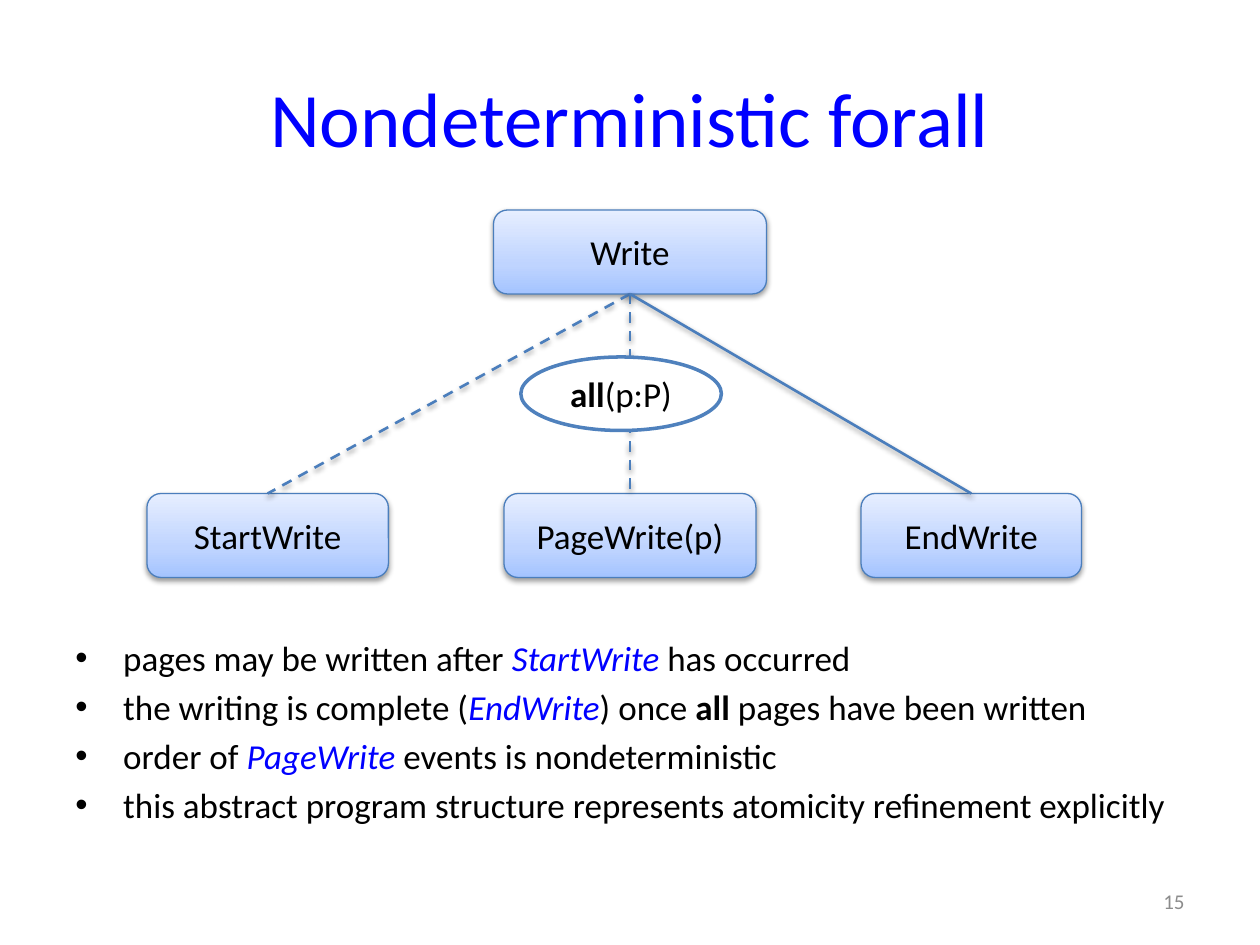
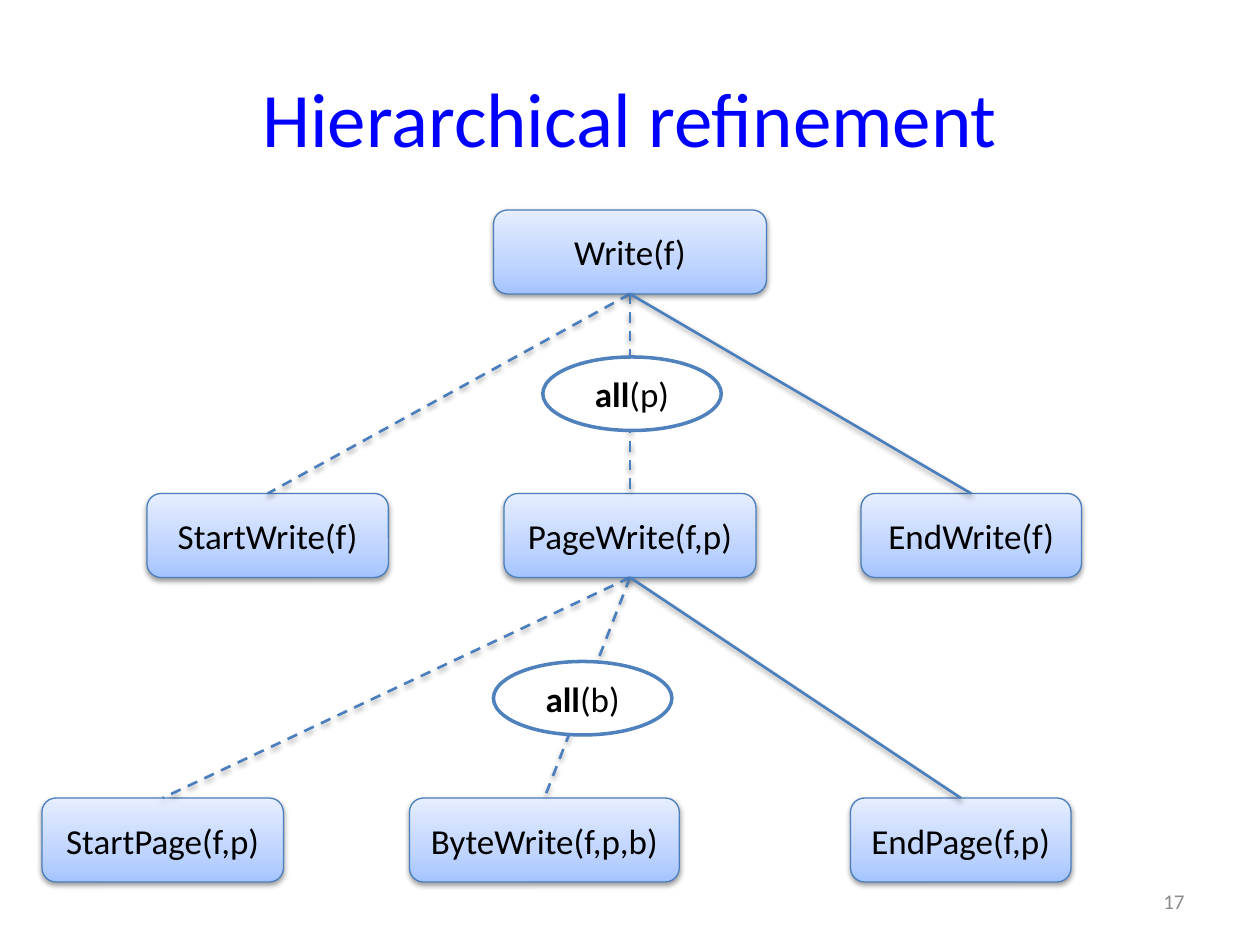
from copy import deepcopy
from dataclasses import dataclass

from lxml import etree
from pptx import Presentation, slide as sl
from pptx import util as u
from pptx.dml.color import RGBColor
from pptx.enum import dml, shapes, text
from pptx.oxml import ns

WIDE, HIGH = u.Inches(10), u.Inches(7.5)
COLS, ROWS = 120, 90  # grid of the slide
FONT = "Calibri"
BLUE = RGBColor(0x00, 0x00, 0xFF)
BLACK = RGBColor(0x00, 0x00, 0x00)
WHITE = RGBColor(0xFF, 0xFF, 0xFF)
GREY = RGBColor(0x8C, 0x8C, 0x8C)
EDGE = RGBColor(0x4B, 0x7E, 0xBC)
RIM = RGBColor(0x4F, 0x81, 0xBD)
SHADES = [
    (0, RGBColor(0xA4, 0xC4, 0xFF)),
    (0.35, RGBColor(0xBF, 0xD4, 0xFF)),
    (1, RGBColor(0xE6, 0xEE, 0xFF)),
]
LEFT, MID, RIGHT = text.PP_ALIGN.LEFT, text.PP_ALIGN.CENTER, text.PP_ALIGN.RIGHT
TOP, BOTTOM = 0, 2  # connection sites
NODE_ROWS, RING_ROWS = 8, 7

Runs = list[tuple[str, str]]  # words and style: "", "b" (bold) or "i" (blue italic)


@dataclass
class Node:
    label: str
    col: float
    row: float
    cols: float


@dataclass
class Ring:
    inner: str
    col: float
    row: float
    cols: float


def place(col: float, row: float, cols: float, rows: float) -> list[int]:
    """Turn grid units into left, top, width and height."""
    return [round(col * WIDE / COLS), round(row * HIGH / ROWS),
            round(cols * WIDE / COLS), round(rows * HIGH / ROWS)]


def write(para, runs: Runs, size: float, color: RGBColor, align=LEFT) -> None:
    para.alignment = align
    for words, style in runs:
        run = para.add_run()
        run.text = words
        font = run.font
        font.name, font.size = FONT, u.Pt(size)
        font.bold, font.italic = style == "b", style == "i"
        font.color.rgb = BLUE if style == "i" else color


def add_text(page: sl.Slide, area: list[int], words: str, size: float,
             color: RGBColor, align) -> None:
    frame = page.shapes.add_textbox(*area).text_frame
    frame.word_wrap = True
    frame.vertical_anchor = text.MSO_ANCHOR.MIDDLE
    write(frame.paragraphs[0], [(words, "")], size, color, align)


def cast(item) -> None:
    """Give a shape or connector a soft shadow; its line must be set before."""
    props = item._element.spPr
    effects = etree.SubElement(props, ns.qn("a:effectLst"))
    outer = etree.SubElement(effects, ns.qn("a:outerShdw"), blurRad="40000",
                             dist="20000", dir="5400000", rotWithShape="0")
    tint = etree.SubElement(outer, ns.qn("a:srgbClr"), val=str(BLACK))
    etree.SubElement(tint, ns.qn("a:alpha"), val="38000")


def add_node(page: sl.Slide, node: Node):
    box = page.shapes.add_shape(shapes.MSO_SHAPE.ROUNDED_RECTANGLE,
                                *place(node.col, node.row, node.cols, NODE_ROWS))
    box.fill.gradient()
    box.fill.gradient_angle = 90
    stops = box._element.spPr.find(".//" + ns.qn("a:gsLst"))
    stops.append(deepcopy(stops[0]))
    for stop, (spot, shade) in zip(box.fill.gradient_stops, SHADES):
        stop.position, stop.color.rgb = spot, shade
    box.line.color.rgb, box.line.width = EDGE, u.Pt(0.75)
    cast(box)
    box.text_frame.vertical_anchor = text.MSO_ANCHOR.MIDDLE
    write(box.text_frame.paragraphs[0], [(node.label, "")], 20, BLACK, MID)
    return box


def add_link(page: sl.Slide, head, child, dashed: bool) -> None:
    link = page.shapes.add_connector(shapes.MSO_CONNECTOR.STRAIGHT, 0, 0, 0, 0)
    link.begin_connect(head, BOTTOM)
    link.end_connect(child, TOP)
    link.line.color.rgb, link.line.width = EDGE, u.Pt(1.5)
    if dashed:
        link.line.dash_style = dml.MSO_LINE.DASH
    cast(link)


def add_ring(page: sl.Slide, ring: Ring) -> None:
    oval = page.shapes.add_shape(shapes.MSO_SHAPE.OVAL,
                                 *place(ring.col, ring.row, ring.cols, RING_ROWS))
    oval.shadow.inherit = False
    oval.fill.solid()
    oval.fill.fore_color.rgb = WHITE
    oval.line.color.rgb, oval.line.width = RIM, u.Pt(2)
    frame = oval.text_frame
    frame.word_wrap = False
    frame.vertical_anchor = text.MSO_ANCHOR.MIDDLE
    runs = [(" ", ""), ("all", "b"), (f"({ring.inner}) ", "")]
    write(frame.paragraphs[0], runs, 20, BLACK, MID)


def add_tree(page: sl.Slide, head, nodes: list[Node], ring: Ring) -> list:
    """Hang nodes below head; only the last link is solid."""
    kids = [add_node(page, node) for node in nodes]
    for kid in kids:
        add_link(page, head, kid, dashed=kid is not kids[-1])
    add_ring(page, ring)
    return kids


def add_points(page: sl.Slide, points: list[Runs]) -> None:
    frame = page.shapes.add_textbox(*place(6, 60, 108, 20.4)).text_frame
    frame.word_wrap = True
    for rank, runs in enumerate(points):
        para = frame.add_paragraph() if rank else frame.paragraphs[0]
        props = para._p.get_or_add_pPr()
        props.set("marL", str(u.Inches(0.38)))
        props.set("indent", str(-u.Inches(0.38)))
        etree.SubElement(props, ns.qn("a:buFont"), typeface="Arial")
        etree.SubElement(props, ns.qn("a:buChar"), char="•")
        if rank:
            para.space_before = u.Pt(4)
        write(para, runs, 20, BLACK)


def add_page(deck, title: str, number: int) -> sl.Slide:
    page = deck.slides.add_slide(deck.slide_layouts[6])
    add_text(page, place(6, 3.6, 108, 15), title, 44, BLUE, MID)
    add_text(page, place(86, 83.4, 28, 4.8), str(number), 12, GREY, RIGHT)
    return page


def add_write(page: sl.Slide, labels: list[str], ring: Ring) -> list:
    """Draw the write tree: the head's label first, then its three parts."""
    head, start, middle, end = labels
    top = add_node(page, Node(head, 47, 20, 26))
    parts = [Node(start, 14, 47, 23), Node(middle, 48, 47, 24), Node(end, 82, 47, 21)]
    return add_tree(page, top, parts, ring)


POINTS = [
    [("pages may be written after ", ""), ("StartWrite ", "i"), ("has occurred", "")],
    [("the writing is complete (", ""), ("EndWrite", "i"), (") once ", ""),
     ("all ", "b"), ("pages have been written", "")],
    [("order of ", ""), ("PageWrite ", "i"), ("events is nondeterministic", "")],
    [("this abstract program structure represents atomicity refinement explicitly", "")],
]
BYTES = [
    Node("StartPage(f,p)", 4, 76, 23),
    Node("ByteWrite(f,p,b)", 39, 76, 25.7),
    Node("EndPage(f,p)", 81, 76, 21),
]


def main() -> None:
    deck = Presentation()
    deck.slide_width, deck.slide_height = WIDE, HIGH

    page = add_page(deck, "Nondeterministic forall", 15)
    add_points(page, POINTS)
    add_write(page, ["Write", "StartWrite", "PageWrite(p)", "EndWrite"],
              Ring("p:P", 49.6, 34, 19.1))

    page = add_page(deck, "Hierarchical refinement", 17)
    kids = add_write(page, ["Write(f)", "StartWrite(f)", "PageWrite(f,p)", "EndWrite(f)"],
                     Ring("p", 51.7, 34, 17))
    add_tree(page, kids[1], BYTES, Ring("b", 47, 63, 17))

    deck.save("out.pptx")


if __name__ == "__main__":
    main()
